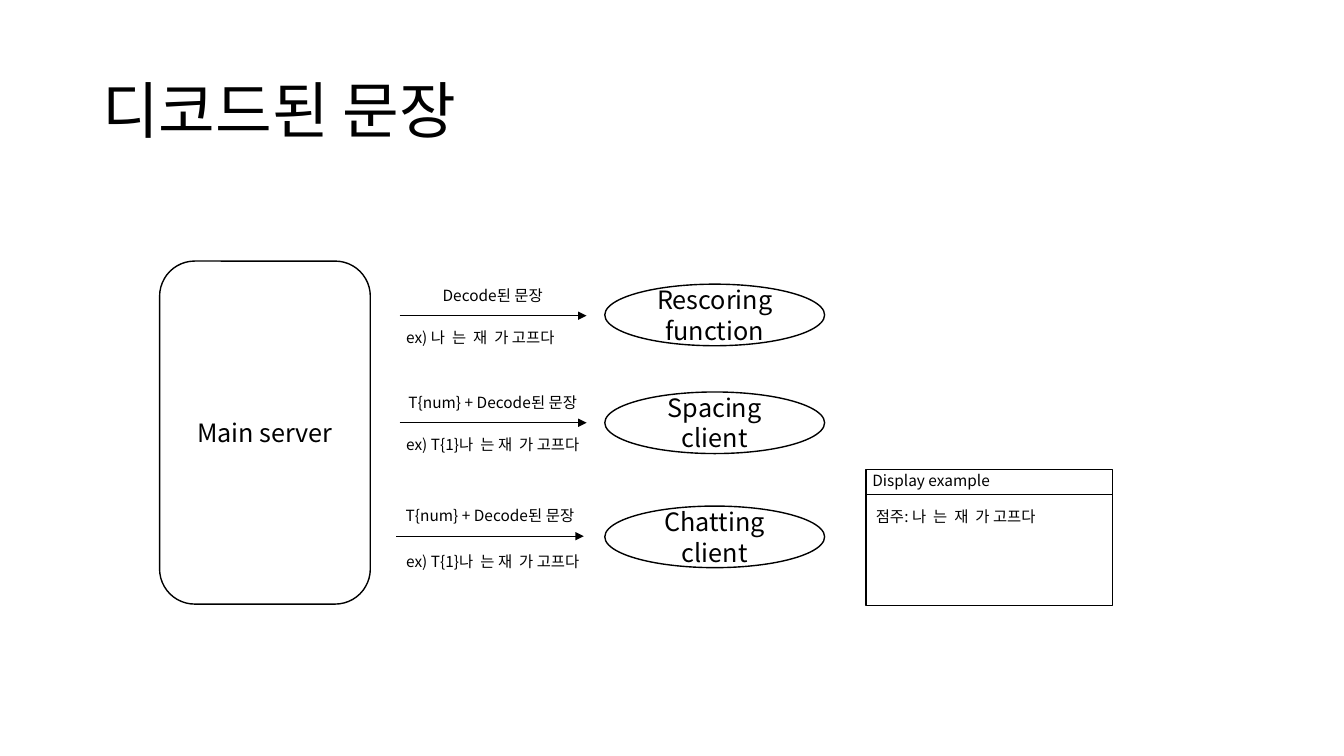
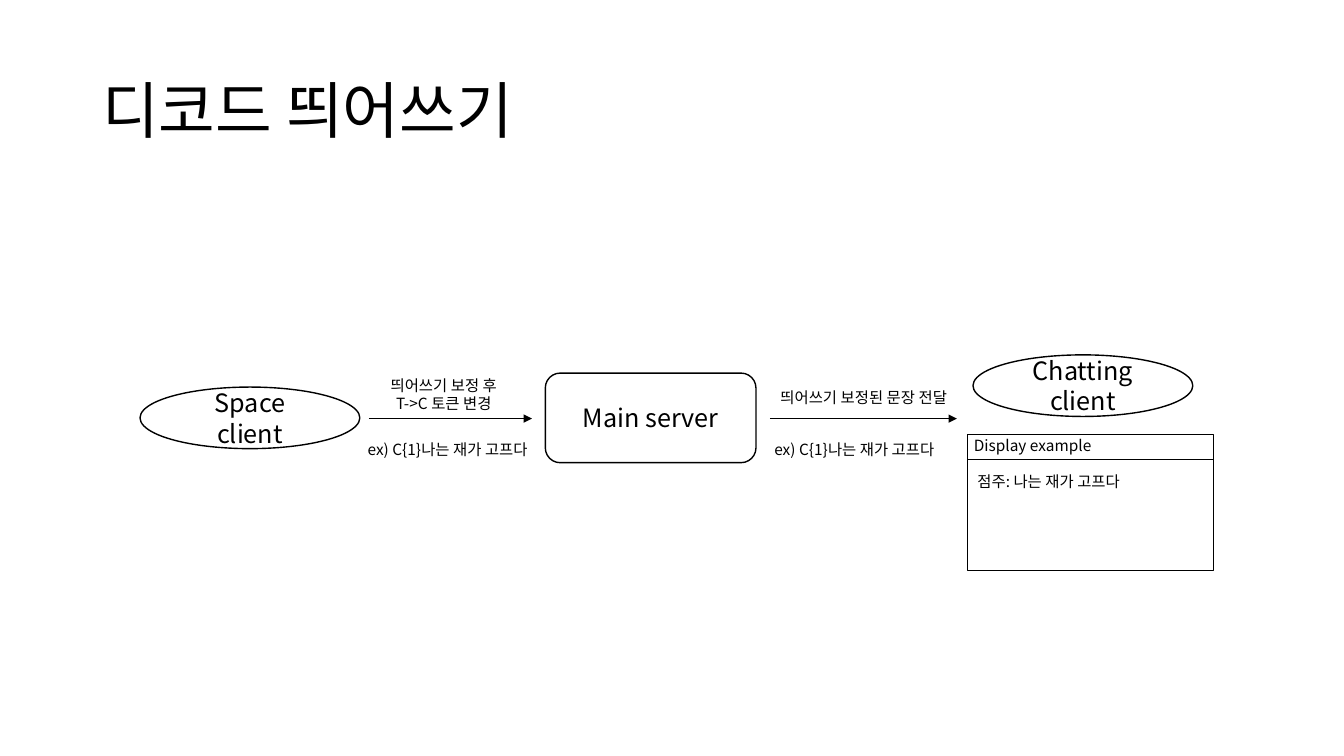
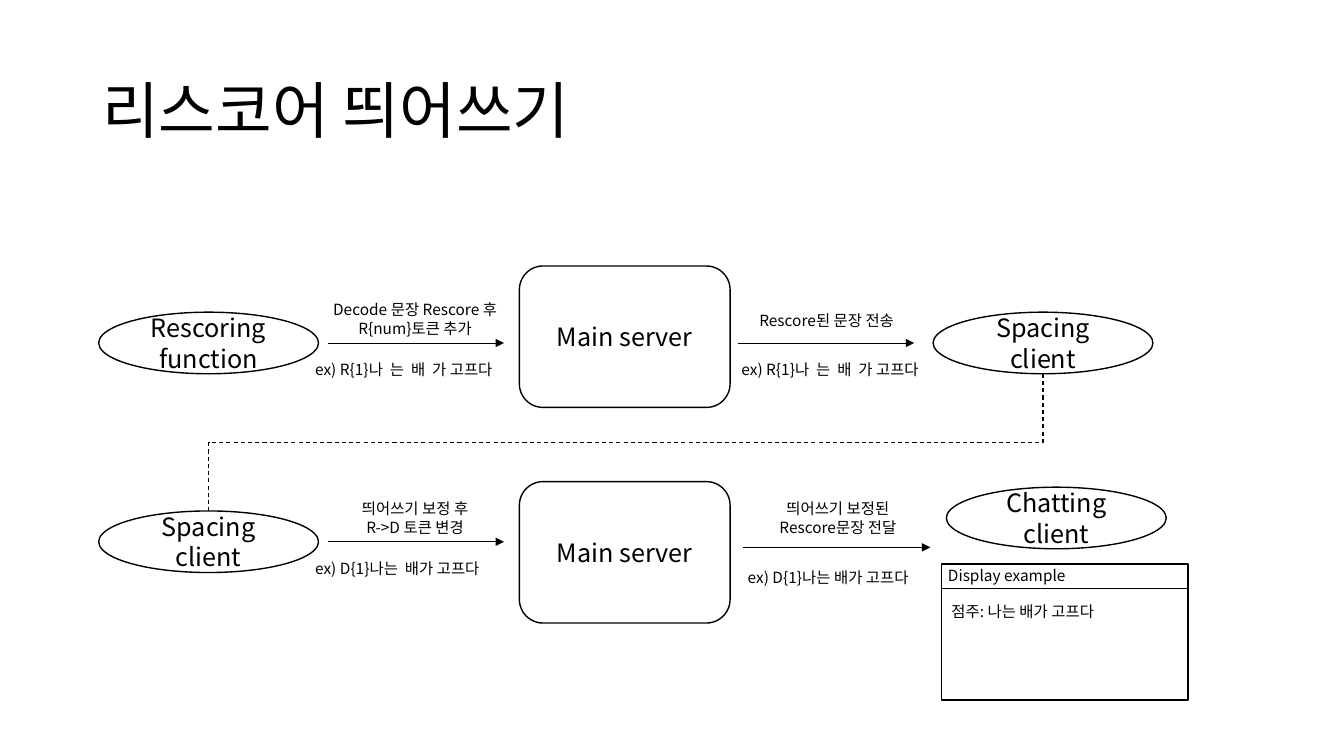
from dataclasses import dataclass

from lxml.etree import SubElement
from pptx import Presentation
from pptx.dml.color import RGBColor
from pptx.enum.dml import MSO_LINE
from pptx.enum.shapes import MSO_CONNECTOR, MSO_SHAPE
from pptx.enum.text import MSO_ANCHOR, PP_ALIGN
from pptx.oxml.ns import qn
from pptx.util import Pt


@dataclass(frozen=True)
class Theme:
    font: str = "Noto Sans CJK KR"
    ink: RGBColor = RGBColor(0, 0, 0)
    paper: RGBColor = RGBColor(255, 255, 255)
    head: int = 44
    node: int = 18
    note: int = 11
    edge: float = 1
    thin: float = 0.5
    dash: float = 0.75


theme = Theme()

# Sizes that every slide shares
OVAL_W, OVAL_H = 157, 44
HOST_W = 150.5
NOTE_W, NOTE_H = 157, 21
PANEL_W, PANEL_H, BAR_H = 176, 97, 17.5


def put(slide, kind, x, y, w, h, text="", size=theme.note, align=PP_ALIGN.LEFT):
    """Add a text box, or an outlined shape when a kind is given."""
    box = [Pt(v) for v in (x, y, w, h)]
    if kind is None:
        shape = slide.shapes.add_textbox(*box)
    else:
        shape = slide.shapes.add_shape(kind, *box)
        shape.shadow.inherit = False
        shape.fill.solid()
        shape.fill.fore_color.rgb = theme.paper
        shape.line.color.rgb = theme.ink
        shape.line.width = Pt(theme.edge)
    frame = shape.text_frame
    frame.word_wrap = True
    frame.text = text
    for para in frame.paragraphs:
        para.alignment = align
        para.font.size = Pt(size)
        para.font.color.rgb = theme.ink
        para.font.name = theme.font
        props = para._p.pPr.find(qn("a:defRPr"))
        SubElement(props, qn("a:ea"), typeface=theme.font)
    return shape


def draw(slide, kind, x, y, end_x, end_y, width=theme.thin, arrow=False):
    """Add a plain line, or an arrow."""
    line = slide.shapes.add_connector(kind, Pt(x), Pt(y), Pt(end_x), Pt(end_y))
    line.line.color.rgb = theme.ink
    line.line.width = Pt(width)
    props = line._element.spPr
    if arrow:
        SubElement(props.find(qn("a:ln")), qn("a:tailEnd"), type="triangle")
    SubElement(props, qn("a:effectLst"))
    return line


# hosts: x, y, height
# nodes: x, y, text
# links: start x, end x, y, then x, rise, text above and x, drop, text below
# panel: x, y, text
pages = [
    dict(
        title="디코드된 문장",
        hosts=[(114, 186.5, 245)],
        nodes=[
            (432, 203, "Rescoring function"),
            (432, 280, "Spacing client"),
            (432, 361.5, "Chatting\nclient"),
        ],
        links=[
            (285.5, 419, 225.5, 273.5, 25, "Decode된 문장",
             283, 5, "ex) 나  는  재  가 고프다"),
            (285.5, 419, 302, 273.5, 25, "T{num} + Decode된 문장",
             283, 5.5, "ex) T{1}나  는 재  가 고프다"),
            (283, 417, 383, 271.5, 25, "T{num} + Decode된 문장",
             283, 8, "ex) T{1}나  는 재  가 고프다"),
        ],
        panel=(618.5, 335.5, "점주: 나  는  재  가 고프다"),
    ),
    dict(
        title="디코드 띄어쓰기",
        hosts=[(389.5, 266.5, 64)],
        nodes=[
            (100, 276.5, "Space client"),
            (695, 253.5, "Chatting\nclient"),
        ],
        links=[
            (263.5, 380, 299, 238.5, 34, "띄어쓰기 보정 후\nT->C 토큰 변경",
             255.5, 11.5, "ex) C{1}나는 재가 고프다"),
            (550, 683.5, 299, 538.5, 25, "띄어쓰기 보정된 문장 전달",
             546, 11.5, "ex) C{1}나는 재가 고프다"),
        ],
        panel=(691, 310.5, "점주: 나는 재가 고프다"),
    ),
    dict(
        title="리스코어 띄어쓰기",
        hosts=[(371, 190, 101), (371, 344, 101)],
        nodes=[
            (70.5, 223, "Rescoring function"),
            (666.5, 223, "Spacing client"),
            (70.5, 365, "Spacing client"),
            (676, 348, "Chatting\nclient"),
        ],
        links=[
            (234.5, 360, 245, 218, 34, "Decode 문장 Rescore 후\nR{num}토큰 추가",
             218, 8.5, "ex) R{1}나  는  배  가 고프다"),
            (527, 653, 245, 512, 26.5, "Rescore된 문장 전송",
             522.5, 8.5, "ex) R{1}나  는  배  가 고프다"),
            (234.5, 360, 387, 218, 34, "띄어쓰기 보정 후\nR->D 토큰 변경",
             218, 8.5, "ex) D{1}나는  배가 고프다"),
            (531, 664.5, 391, 520, 38, "띄어쓰기 보정된\nRescore문장 전달",
             527, 11.5, "ex) D{1}나는 배가 고프다"),
        ],
        panel=(672.5, 403, "점주: 나는 배가 고프다"),
    ),
]

deck = Presentation()
deck.slide_width, deck.slide_height = Pt(960), Pt(540)

for page in pages:
    slide = deck.slides.add_slide(deck.slide_layouts[6])

    # Title
    title = put(slide, None, 66, 29, 828, 104.5, page["title"], theme.head)
    title.text_frame.vertical_anchor = MSO_ANCHOR.MIDDLE
    title.text_frame.paragraphs[0].line_spacing = 0.9

    # Servers and clients
    for x, y, h in page["hosts"]:
        put(slide, MSO_SHAPE.ROUNDED_RECTANGLE, x, y, HOST_W, h,
            "Main server", theme.node, PP_ALIGN.CENTER)
    for x, y, text in page["nodes"]:
        put(slide, MSO_SHAPE.OVAL, x, y, OVAL_W, OVAL_H,
            text, theme.node, PP_ALIGN.CENTER)

    # Arrows with a label above and an example below
    for x, end, y, top_x, rise, label, low_x, drop, sample in page["links"]:
        draw(slide, MSO_CONNECTOR.STRAIGHT, x, y, end, y, arrow=True)
        rows = label.count("\n") + 1
        put(slide, None, top_x, y - rise, NOTE_W, 8 + 13 * rows,
            label, align=PP_ALIGN.CENTER)
        put(slide, None, low_x, y + drop, NOTE_W, NOTE_H, sample)

    # Display panel
    x, y, text = page["panel"]
    put(slide, MSO_SHAPE.RECTANGLE, x, y, PANEL_W, PANEL_H)
    draw(slide, MSO_CONNECTOR.STRAIGHT, x, y + BAR_H, x + PANEL_W, y + BAR_H)
    put(slide, None, x - 2.5, y - 2.5, NOTE_W, NOTE_H, "Display example")
    put(slide, None, x, y + 23.5, NOTE_W, NOTE_H, text)

# Dashed bend on the last slide, from the upper to the lower spacing client
nodes = pages[-1]["nodes"]
x, y = nodes[1][0] + OVAL_W / 2, nodes[1][1] + OVAL_H
end_x, end_y = nodes[2][0] + OVAL_W / 2, nodes[2][1]
mid_x, mid_y = (x + end_x) / 2, (y + end_y) / 2
half_w, half_h = (end_y - y) / 2, (x - end_x) / 2
bend = draw(slide, MSO_CONNECTOR.ELBOW, mid_x - half_w, mid_y - half_h,
            mid_x + half_w, mid_y + half_h, theme.dash)
bend.line.dash_style = MSO_LINE.DASH
bend._element.spPr.find(qn("a:xfrm")).set("rot", str(90 * 60000))

deck.save("out.pptx")
